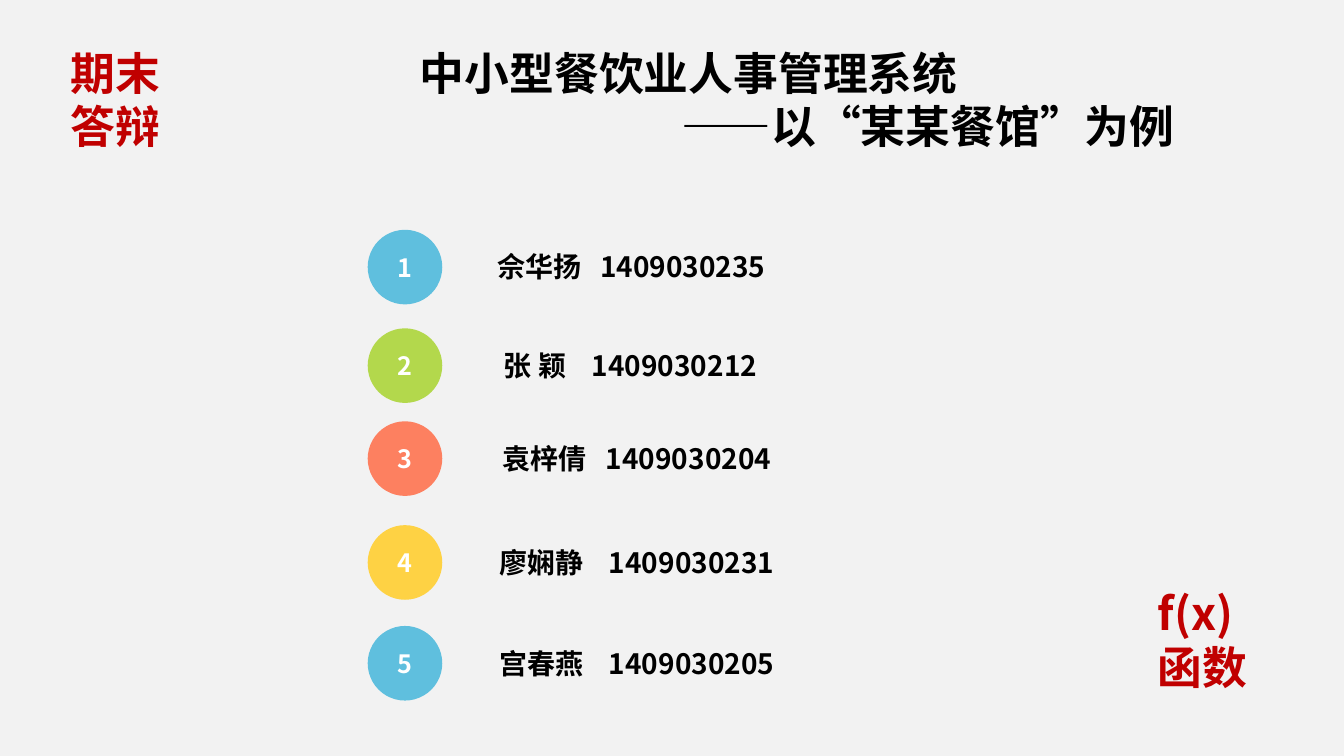
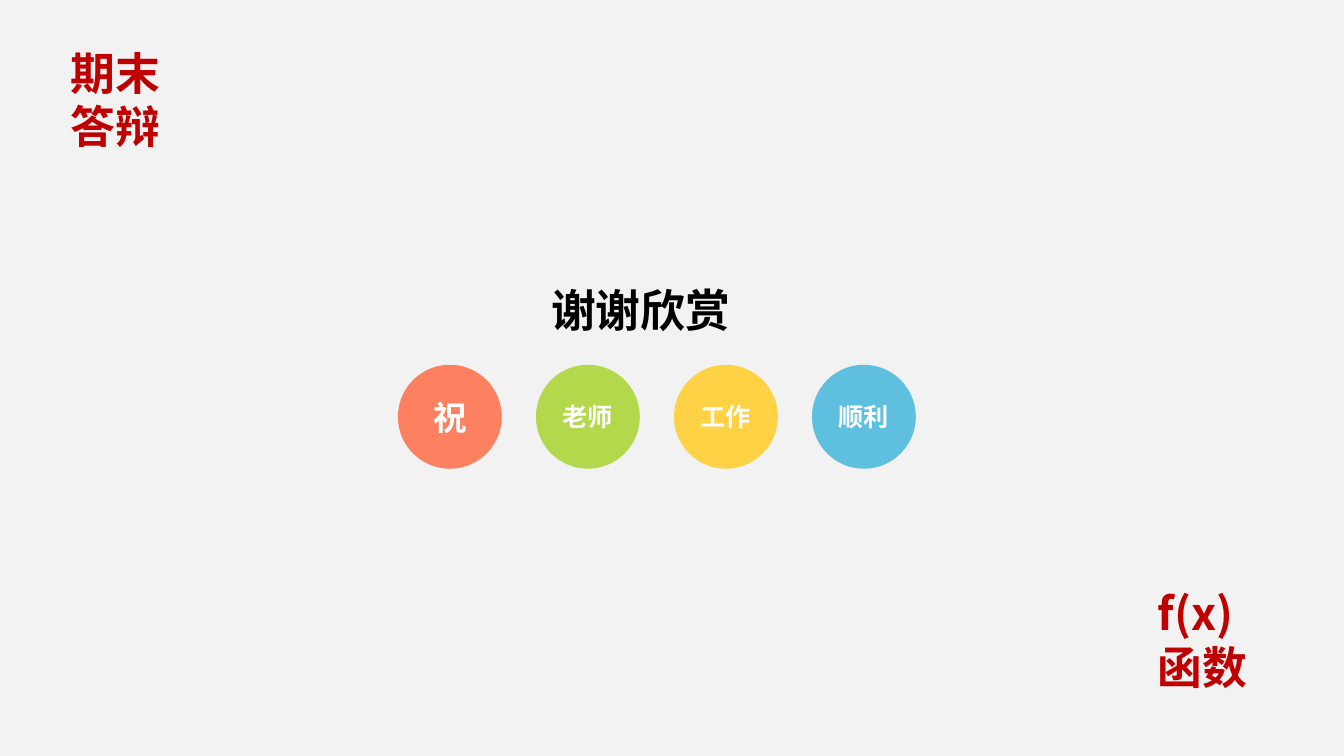
from dataclasses import dataclass

from lxml.etree import SubElement
from pptx import Presentation
from pptx.dml.color import RGBColor
from pptx.enum.shapes import MSO_SHAPE
from pptx.enum.text import MSO_ANCHOR, MSO_AUTO_SIZE, PP_ALIGN
from pptx.oxml.ns import qn
from pptx.shapes.base import BaseShape
from pptx.slide import Slide
from pptx.util import Pt

FONT = "Noto Sans CJK SC"
PAPER = RGBColor(0xF2, 0xF2, 0xF2)
BLACK = RGBColor(0x00, 0x00, 0x00)
WHITE = RGBColor(0xFF, 0xFF, 0xFF)
RED = RGBColor(0xC0, 0x00, 0x00)
BLUE = RGBColor(0x5F, 0xBF, 0xDE)
GREEN = RGBColor(0xB3, 0xD8, 0x4C)
CORAL = RGBColor(0xFD, 0x80, 0x60)
YELLOW = RGBColor(0xFE, 0xD2, 0x44)

TITLE_SIZE = 32
MEMBER_SIZE = 20
BADGE_SIZE = 18
BADGE_LEFT = 262.8
BADGE_DIAMETER = 53.3
MEMBER_LEFT = 341
MEMBER_WIDTH = 228.2
MEMBER_HEIGHT = 31.7
WISH_LEFT = 284.4
WISH_TOP = 260.6
WISH_DIAMETER = 74.2
WISH_STEP = 98.64


@dataclass(frozen=True)
class Area:
    left: float
    top: float
    width: float
    height: float


@dataclass(frozen=True)
class Member:
    name: str
    number: str
    color: RGBColor
    middle: float
    name_left: float
    number_left: float


@dataclass(frozen=True)
class Wish:
    text: str
    color: RGBColor
    size: int = 18


MEMBERS = (
    Member("佘华扬", "1409030235", BLUE, 190.8, 355.5, 428.8),
    Member("张 颖", "1409030212", GREEN, 261.2, 360.2, 423),
    Member("袁梓倩", "1409030204", CORAL, 327.6, 359, 433),
    Member("廖娴静", "1409030231", YELLOW, 401.8, 356.8, 435.2),
    Member("宫春燕", "1409030205", BLUE, 473.8, 356.8, 435.2),
)
WISHES = (
    Wish("祝", CORAL, 24),
    Wish("老师", GREEN),
    Wish("工作", YELLOW),
    Wish("顺利", BLUE),
)


def write(shape: BaseShape, text: str, size: float, color: RGBColor,
          alignment: PP_ALIGN) -> None:
    frame = shape.text_frame
    frame.word_wrap = True
    frame.text = text
    for paragraph in frame.paragraphs:
        paragraph.alignment = alignment
        for span in paragraph.runs:
            span.font.name = FONT
            span.font.size = Pt(size)
            span.font.bold = True
            span.font.color.rgb = color
            SubElement(span.font._element, qn("a:ea"), typeface=FONT)


def add_text(page: Slide, area: Area, text: str, size: float, color: RGBColor,
             alignment: PP_ALIGN = PP_ALIGN.LEFT) -> BaseShape:
    box = page.shapes.add_textbox(Pt(area.left), Pt(area.top),
                                  Pt(area.width), Pt(area.height))
    write(box, text, size, color, alignment)
    box.text_frame.auto_size = MSO_AUTO_SIZE.SHAPE_TO_FIT_TEXT
    return box


def add_circle(page: Slide, left: float, top: float, diameter: float,
               text: str, size: float, color: RGBColor) -> None:
    circle = page.shapes.add_shape(MSO_SHAPE.OVAL, Pt(left), Pt(top),
                                   Pt(diameter), Pt(diameter))
    circle.shadow.inherit = False
    circle.fill.solid()
    circle.fill.fore_color.rgb = color
    circle.line.fill.background()
    write(circle, text, size, WHITE, PP_ALIGN.CENTER)
    circle.text_frame.vertical_anchor = MSO_ANCHOR.MIDDLE


def add_member(page: Slide, order: int, member: Member) -> None:
    add_circle(page, BADGE_LEFT, member.middle - BADGE_DIAMETER / 2,
               BADGE_DIAMETER, str(order), BADGE_SIZE, member.color)
    area = Area(MEMBER_LEFT, member.middle - MEMBER_HEIGHT / 2,
                MEMBER_WIDTH, MEMBER_HEIGHT)
    box = add_text(page, area, f"{member.name}\t{member.number}",
                   MEMBER_SIZE, BLACK)
    box.text_frame.margin_left = Pt(member.name_left - MEMBER_LEFT)
    properties = box.text_frame.paragraphs[0]._p.get_or_add_pPr()
    stops = SubElement(properties, qn("a:tabLst"))
    position = Pt(member.number_left - member.name_left)
    SubElement(stops, qn("a:tab"), pos=str(int(position)), algn="l")


def add_page(deck: Presentation) -> Slide:
    page = deck.slides.add_slide(deck.slide_layouts[6])
    add_text(page, Area(43.2, 28.8, 89.3, 84.2), "期末\n答辩", TITLE_SIZE, RED)
    add_text(page, Area(820.1, 414.7, 89.3, 122.4), "f(x)函数", TITLE_SIZE, RED)
    return page


def build_members(deck: Presentation) -> None:
    page = add_page(deck)
    title = add_text(page, Area(293, 28.8, 553.7, 84.2),
                     "中小型餐饮业人事管理系统\n——以“某某餐馆”为例",
                     TITLE_SIZE, BLACK)
    title.text_frame.paragraphs[1].alignment = PP_ALIGN.RIGHT
    for order, member in enumerate(MEMBERS, start=1):
        add_member(page, order, member)


def build_thanks(deck: Presentation) -> None:
    page = add_page(deck)
    add_text(page, Area(253.4, 198.7, 409, 46.1), "谢谢欣赏",
             TITLE_SIZE, BLACK, PP_ALIGN.CENTER)
    for index, wish in enumerate(WISHES):
        add_circle(page, WISH_LEFT + index * WISH_STEP, WISH_TOP,
                   WISH_DIAMETER, wish.text, wish.size, wish.color)


def main() -> None:
    deck = Presentation()
    deck.slide_width = Pt(960.48)
    deck.slide_height = Pt(540)
    background = deck.slide_master.background.fill
    background.solid()
    background.fore_color.rgb = PAPER
    build_members(deck)
    build_thanks(deck)
    deck.save("out.pptx")


if __name__ == "__main__":
    main()
